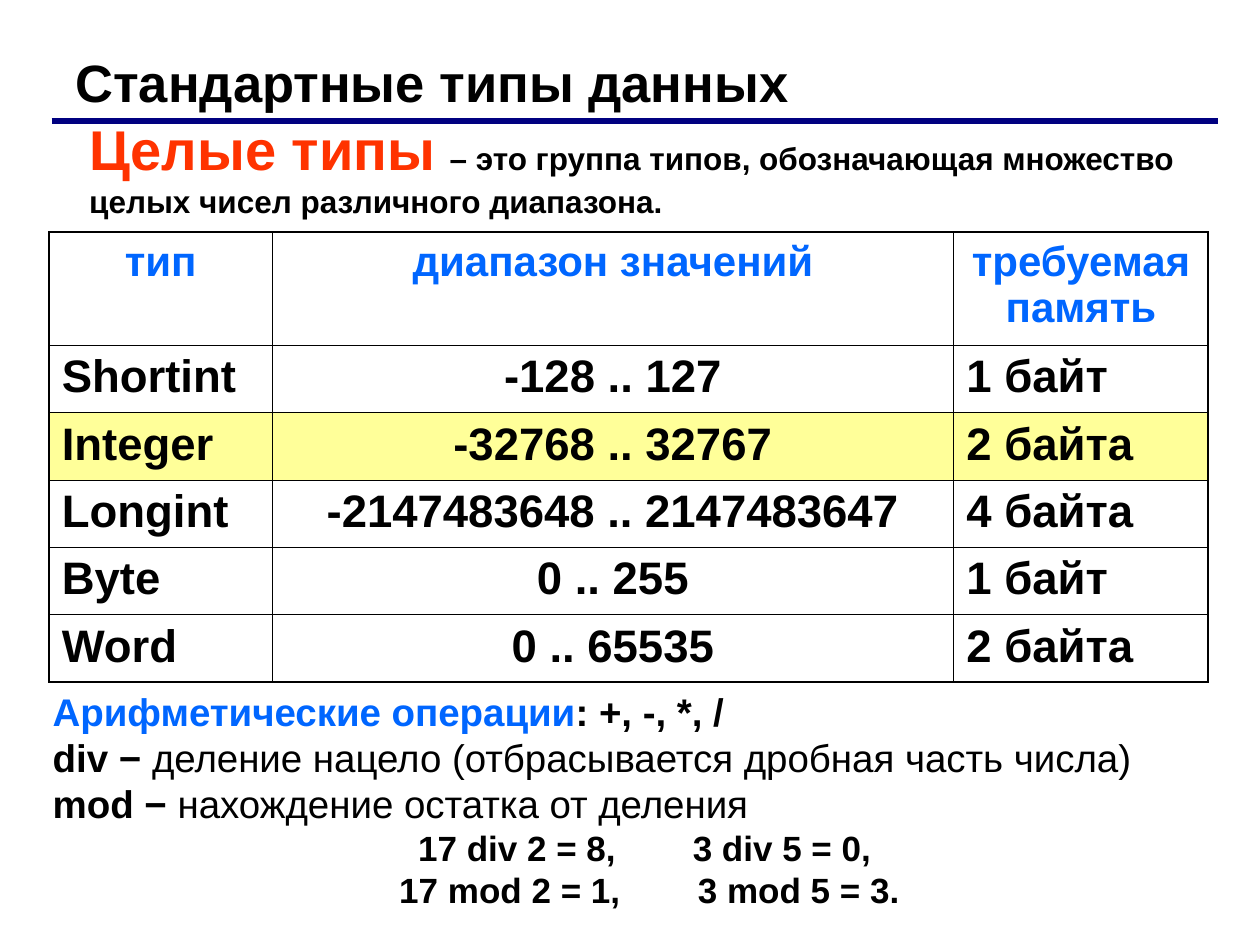
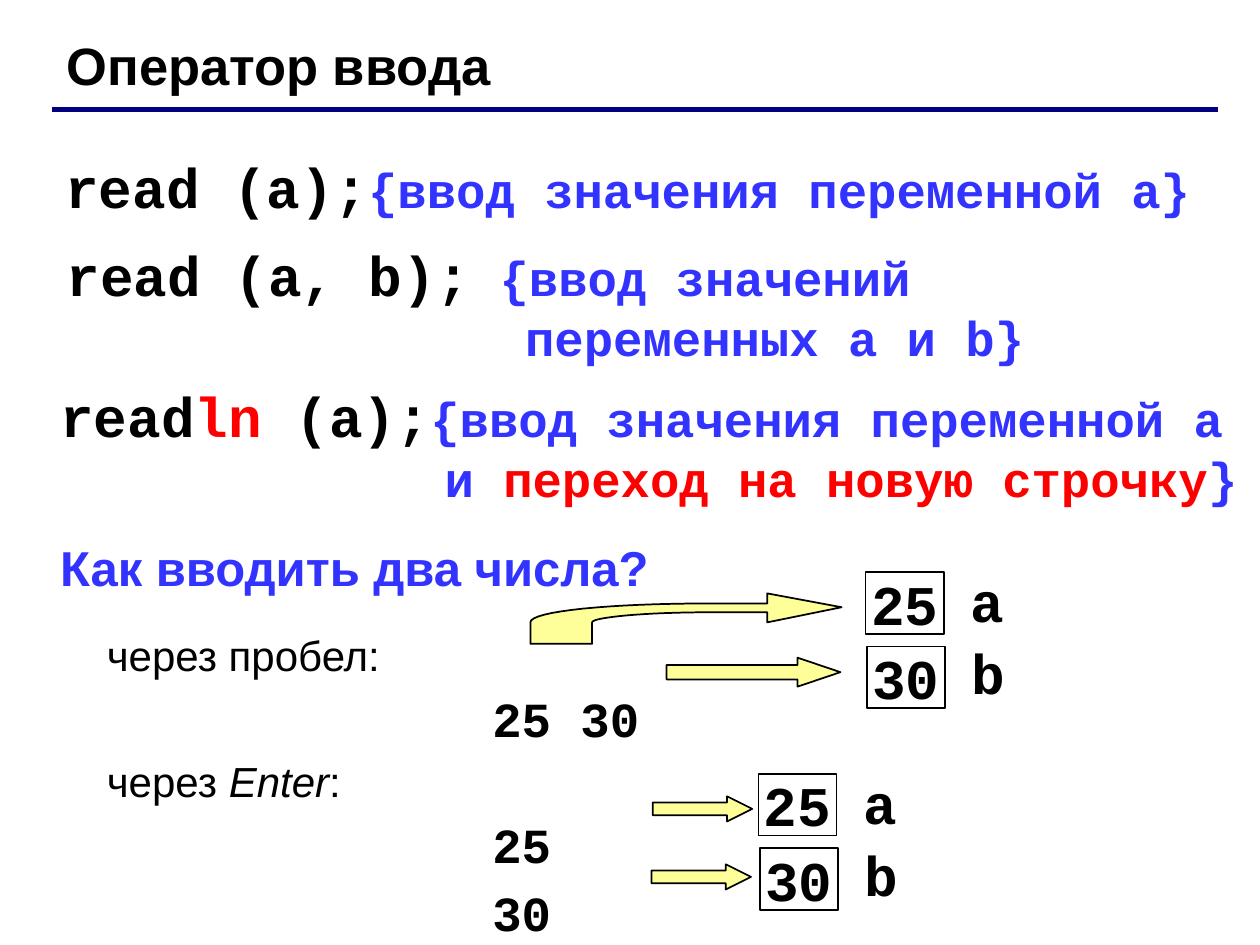
import pptx
import pptx.util
import pptx.dml.color
import pptx.enum.shapes
import pptx.enum.text
from lxml import etree

Inches, Pt = pptx.util.Inches, pptx.util.Pt
ALIGN = pptx.enum.text.PP_ALIGN
ANCHOR = pptx.enum.text.MSO_ANCHOR
SHAPE = pptx.enum.shapes.MSO_SHAPE
A = "{http://schemas.openxmlformats.org/drawingml/2006/main}"

BLACK, WHITE, NAVY, BLUE = "000000", "FFFFFF", "000080", "0066FF"
COMMENT, RED, ORANGE, YELLOW = "3333FF", "FF0000", "FF3300", "FFFF99"
SANS, MONO = "Arial", "Courier New"


def rgb(color):
    return pptx.dml.color.RGBColor.from_string(color)


def run(text, size, color=BLACK, font=SANS, bold=True, italic=False):
    return text, size, color, font, bold, italic


def write(p, runs, align=ALIGN.LEFT, before=0, after=0, left=0, hang=0):
    p.alignment = align
    p.space_before, p.space_after = Pt(before), Pt(after)
    pPr = p._p.get_or_add_pPr()
    pPr.set("marL", str(Inches(left)))
    pPr.set("indent", str(-Inches(hang)))
    for text, size, color, font, bold, italic in runs:
        r = p.add_run()
        r.text = text
        r.font.size, r.font.name = Pt(size), font
        r.font.bold, r.font.italic = bold, italic
        r.font.color.rgb = rgb(color)


def text_box(s, box, paragraphs, anchor=ANCHOR.TOP, wrap=True):
    tf = s.shapes.add_textbox(*map(Inches, box)).text_frame
    tf.word_wrap, tf.vertical_anchor = wrap, anchor
    for i, (runs, layout) in enumerate(paragraphs):
        write(tf.add_paragraph() if i else tf.paragraphs[0], runs, **layout)


def paint(sp, fill):
    sp.shadow.inherit = False
    sp.fill.solid()
    sp.fill.fore_color.rgb = rgb(fill)
    sp.line.color.rgb = rgb(BLACK)
    sp.line.width = Pt(1)


def title(s, text, box, rule_y):
    text_box(s, box, [([run(text, 30)], {})], ANCHOR.MIDDLE)
    cx = s.shapes.add_connector(pptx.enum.shapes.MSO_CONNECTOR.STRAIGHT,
                                Inches(0.41), Inches(rule_y), Inches(9.67), Inches(rule_y))
    cx.line.color.rgb = rgb(NAVY)
    cx.line.width = Pt(3)
    etree.SubElement(cx._element.spPr, A + "effectLst")


def cell_borders(cell, widths):
    tcPr = cell._tc.get_or_add_tcPr()
    for side, width in zip("LRTB", widths):
        ln = etree.SubElement(tcPr, A + "ln" + side, w=str(Pt(width)))
        fill = etree.SubElement(ln, A + "solidFill")
        etree.SubElement(fill, A + "srgbClr", val=BLACK)


def types_table(s, box):
    rows = [("тип", "диапазон значений", "требуемая память"),
            ("Shortint", "-128 .. 127", "1 байт"),
            ("Integer", "-32768 .. 32767", "2 байта"),
            ("Longint", "-2147483648 .. 2147483647", "4 байта"),
            ("Byte", "0 .. 255", "1 байт"),
            ("Word", "0 .. 65535", "2 байта")]
    outer, inner = 1.08, 0.45
    table = s.shapes.add_table(len(rows), 3, *map(Inches, box)).table
    table.first_row = table.horz_banding = False
    for col, width in zip(table.columns, (1.77, 5.41, 2.02)):
        col.width = Inches(width)
    for i, row in enumerate(rows):
        table.rows[i].height = Inches(0.535 if i else 0.9)
        for j, text in enumerate(row):
            cell = table.cell(i, j)
            edges = (j == 0, j == 2, i == 0, i == len(rows) - 1)
            cell_borders(cell, [outer if edge else inner for edge in edges])
            if row[0] == "Integer":
                cell.fill.solid()
                cell.fill.fore_color.rgb = rgb(YELLOW)
            else:
                cell.fill.background()
            style = run(text, 26) if i else run(text, 24, BLUE)
            centred = i == 0 or j == 1
            write(cell.text_frame.paragraphs[0], [style],
                  align=ALIGN.CENTER if centred else ALIGN.LEFT)


def integer_types(prs):
    s = prs.slides.add_slide(prs.slide_layouts[6])
    title(s, "Стандартные типы данных", (0.5, 0.3, 9, 0.7), 0.96)
    types_table(s, (0.39, 1.84, 9.2, 3.57))
    text_box(s, (0.61, 0.86, 9, 0.94), [
        ([run("Целые типы", 32, ORANGE), run(" ", 28),
          run("– это группа типов, обозначающая множество целых чисел "
              "различного диапазона.", 18)], {})])
    text_box(s, (0.32, 5.41, 9.68, 2.2), [
        ([run("Арифметические операции", 22, BLUE), run(": +, -, *, /", 22)], {}),
        ([run("div − ", 22),
          run("деление нацело (отбрасывается дробная часть числа)", 22, bold=False)], {}),
        ([run("mod − ", 22), run("нахождение остатка от деления", 22, bold=False)], {}),
        ([run("17 div 2 = 8,\t3 div 5 = 0,", 20)], {"left": 5.08, "hang": 2.18}),
        ([run("17 mod 2 = 1,\t3 mod 5 = 3.", 20)], {"left": 5.12, "hang": 2.37})])


def statement(s, box, hang, *runs):
    text_box(s, box, [(runs, {"left": hang, "hang": hang})])


def code(text, color=BLACK):
    return run(text, 32, color, MONO)


def comment(text, color=COMMENT):
    return run(text, 28, color, MONO)


def questions(s, box):
    column = {"before": 5.2, "left": 3.43, "hang": 3.43}
    item = {"before": 4.5, "left": 0.37}
    text_box(s, box, [
        ([run("Как вводить два числа?", 28, COMMENT)], {"after": 14}),
        ([run("через пробел:", 24, bold=False)], item),
        ([comment("\t25 30", BLACK)], column),
        ([run("через ", 24, bold=False), run("Enter", 24, bold=False, italic=True),
          run(":", 24, bold=False)], item),
        ([comment("\t25", BLACK)], column),
        ([comment("\t30", BLACK)], column)])


def variables(s, x, y):
    for i, (value, name) in enumerate((("25", "a"), ("30", "b"))):
        left, top = x + 0.01 * i, y + 0.59 * i
        sp = s.shapes.add_shape(SHAPE.RECTANGLE, *map(Inches, (left, top, 0.62, 0.49)))
        paint(sp, WHITE)
        tf = sp.text_frame
        tf.word_wrap, tf.vertical_anchor = False, ANCHOR.MIDDLE
        write(tf.paragraphs[0], [code(value)], align=ALIGN.CENTER)
        text_box(s, (left + 0.71, y - 0.06 + 0.57 * i, 0.51, 0.57),
                 [([code(name)], {"align": ALIGN.CENTER})], ANCHOR.MIDDLE, False)


def arrow(s, box, head):
    sp = s.shapes.add_shape(SHAPE.RIGHT_ARROW, *map(Inches, box))
    sp.adjustments[0], sp.adjustments[1] = 0.5, head
    paint(sp, YELLOW)


def bezier(*points, steps=16):
    for k in range(1, steps + 1):
        t = k / steps
        weights = ((1 - t) ** 3, 3 * t * (1 - t) ** 2, 3 * t * t * (1 - t), t ** 3)
        yield tuple(sum(w * pt[axis] for w, pt in zip(weights, points)) for axis in (0, 1))


def bent_arrow(s, x, y):
    outline = [(2.47, 0.11), (1.88, 0), (1.88, 0.08), (1.42, 0.08),
               *bezier((1.42, 0.08), (0.64, 0.08), (0, 0.14), (0, 0.23)),
               (0, 0.4), (0.49, 0.4), (0.49, 0.23),
               *bezier((0.49, 0.23), (0.49, 0.19), (0.91, 0.15), (1.42, 0.15)),
               (1.88, 0.15), (1.88, 0.23)]
    points = [(Inches(x + dx), Inches(y + dy)) for dx, dy in outline]
    builder = s.shapes.build_freeform(*points[0])
    builder.add_line_segments(points[1:], close=True)
    paint(builder.convert_to_shape(), YELLOW)


def input_operator(prs):
    s = prs.slides.add_slide(prs.slide_layouts[6])
    title(s, "Оператор ввода", (0.43, 0.21, 8.9, 0.6), 0.87)
    statement(s, (0.42, 1.16, 9.58, 0.64), 3.53,
              code("read (a);"), comment("{ввод значения переменной a}"))
    statement(s, (0.43, 1.86, 9.06, 1.1), 3.64,
              code("read (a, b);"), comment(" "),
              comment("{ввод значений переменных a и b}"))
    questions(s, (0.38, 4.22, 9.06, 3.28))
    bent_arrow(s, 4.21, 4.71)
    arrow(s, (5.29, 5.22, 1.38, 0.23), 1.48)
    variables(s, 6.87, 4.54)
    variables(s, 6.02, 6.14)
    for x, y in ((5.18, 6.32), (5.17, 6.86)):
        arrow(s, (x, y, 0.79, 0.2), 1)
    statement(s, (0.38, 2.98, 9.62, 1.1), 3.05,
              code("read"), code("ln", RED), code(" (a);"),
              comment("{ввод значения переменной a и "),
              comment("переход на новую строчку", RED), comment("}"))


def main():
    prs = pptx.Presentation()
    prs.slide_width, prs.slide_height = Inches(10), Inches(7.5)
    integer_types(prs)
    input_operator(prs)
    prs.save("out.pptx")


if __name__ == "__main__":
    main()
